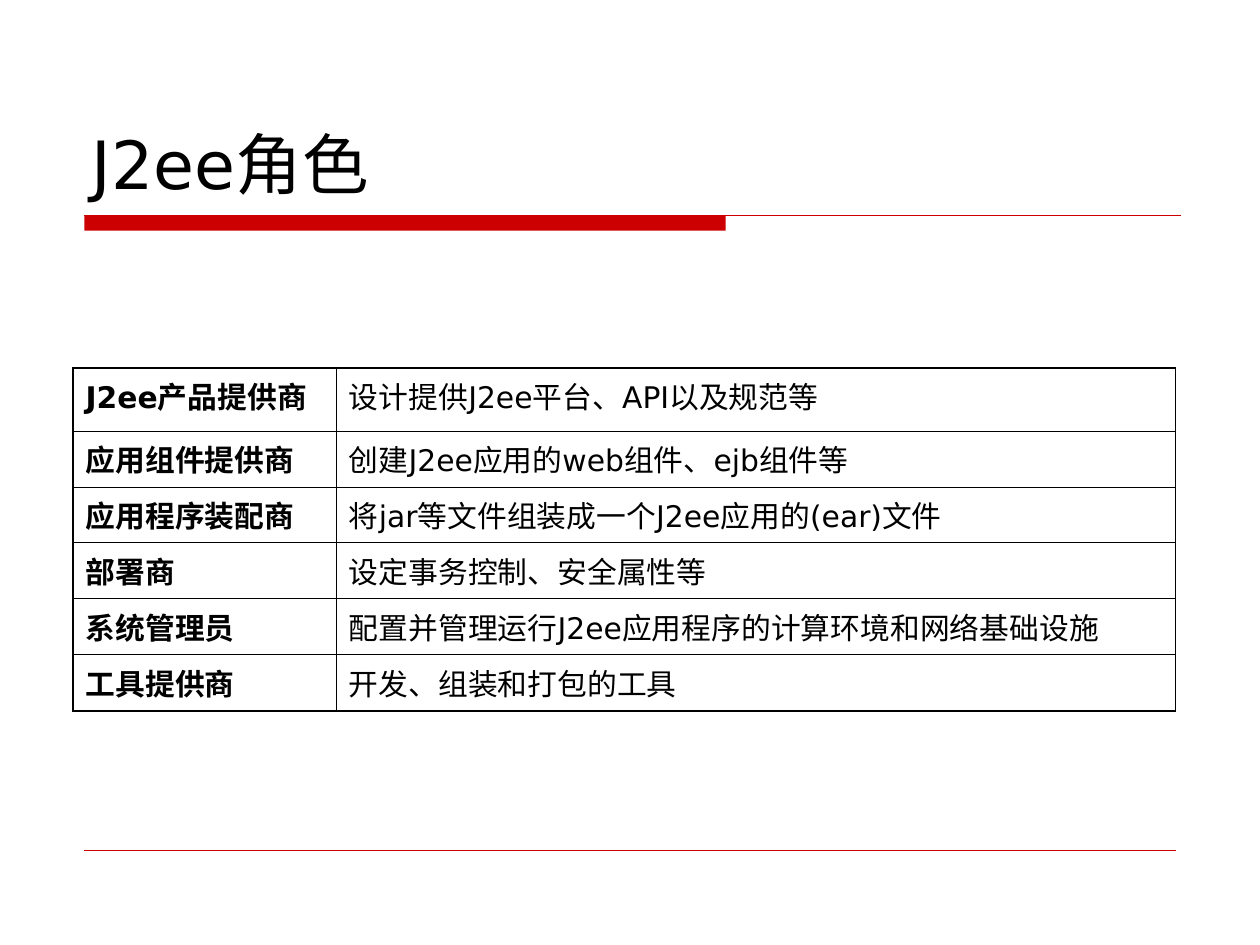
from lxml.etree import SubElement as Sub
from pptx import Presentation
from pptx.dml.color import RGBColor as RGB
from pptx.enum.shapes import MSO_CONNECTOR as Conn, MSO_SHAPE as Form
from pptx.enum.text import MSO_ANCHOR as Anchor, MSO_AUTO_SIZE as Fit, PP_ALIGN as Align
from pptx.oxml.ns import qn
from pptx.util import Inches, Pt

RED = RGB(0xCC, 0x00, 0x00)
BLACK = RGB(0x00, 0x00, 0x00)
LATIN = "DejaVu Sans"
ASIAN = "Noto Sans CJK SC"
THICK, THIN = 1.08, 0.45

ROLES = [
    ("J2ee产品提供商", "设计提供J2ee平台、API以及规范等"),
    ("应用组件提供商", "创建J2ee应用的web组件、ejb组件等"),
    ("应用程序装配商", "将jar等文件组装成一个J2ee应用的(ear)文件"),
    ("部署商", "设定事务控制、安全属性等"),
    ("系统管理员", "配置并管理运行J2ee应用程序的计算环境和网络基础设施"),
    ("工具提供商", "开发、组装和打包的工具"),
]


def style(par, size, bold=False):
    par.alignment = Align.LEFT
    for run in par.runs:
        font = run.font
        font.size, font.bold, font.name = Pt(size), bold, LATIN
        font.color.rgb = BLACK
        Sub(font._element, qn("a:ea"), typeface=ASIAN)


def add_rule(slide, left, top, width, weight):
    y = Inches(top)
    rule = slide.shapes.add_connector(
        Conn.STRAIGHT, Inches(left), y, Inches(left + width), y)
    rule.line.color.rgb = RED
    rule.line.width = Pt(weight)
    Sub(rule._element.spPr, qn("a:effectLst"))


def add_bar(slide, left, top, width, height):
    bar = slide.shapes.add_shape(
        Form.RECTANGLE, Inches(left), Inches(top), Inches(5.09), Inches(height))
    bar.shadow.inherit = False
    bar.fill.solid()
    bar.fill.fore_color.rgb = RED
    bar.line.fill.background()
    add_rule(slide, left, top, width, 0.75)


def set_title(slide, left, top, width, height):
    title = slide.shapes.title
    title.left, title.top = Inches(left), Inches(top)
    title.width, title.height = Inches(width), Inches(height)
    frame = title.text_frame
    frame.text = "J2ee角色"
    frame.auto_size = Fit.NONE
    frame.vertical_anchor = Anchor.BOTTOM
    style(frame.paragraphs[0], 38)


def set_edges(cell, outer):
    props = cell._tc.get_or_add_tcPr()
    for side, thick in zip("LRTB", outer):
        edge = Sub(props, qn(f"a:ln{side}"), w=str(Pt(THICK if thick else THIN)))
        fill = Sub(edge, qn("a:solidFill"))
        Sub(fill, qn("a:srgbClr"), val=str(BLACK))
    cell.fill.background()


def add_roles(slide, left, top, width, height):
    count = len(ROLES)
    table = slide.shapes.add_table(
        count, 2, Inches(left), Inches(top), Inches(width), Inches(height)).table
    table.first_row = table.horz_banding = False
    table.columns[0].width = Inches(2.09)
    table.columns[1].width = Inches(width - 2.09)
    first = 0.5
    for r, role in enumerate(ROLES):
        table.rows[r].height = Inches(first if r == 0 else (height - first) / (count - 1))
        for c, text in enumerate(role):
            cell = table.cell(r, c)
            cell.text_frame.text = text
            par = cell.text_frame.paragraphs[0]
            par.space_before = Pt(4.2)
            style(par, 17, bold=c == 0)
            set_edges(cell, (c == 0, c == 1, r == 0, r == count - 1))


def main():
    deck = Presentation()
    deck.slide_width, deck.slide_height = Inches(10), Inches(7.5)
    slide = deck.slides.add_slide(deck.slide_layouts[5])
    add_bar(slide, 0.67, 1.71, 8.7, 0.12)
    add_rule(slide, 0.67, 6.75, 8.66, 0.25)
    set_title(slide, 0.63, 0.33, 8.75, 1.33)
    add_roles(slide, 0.58, 2.92, 8.75, 2.72)
    deck.save("out.pptx")


if __name__ == "__main__":
    main()
